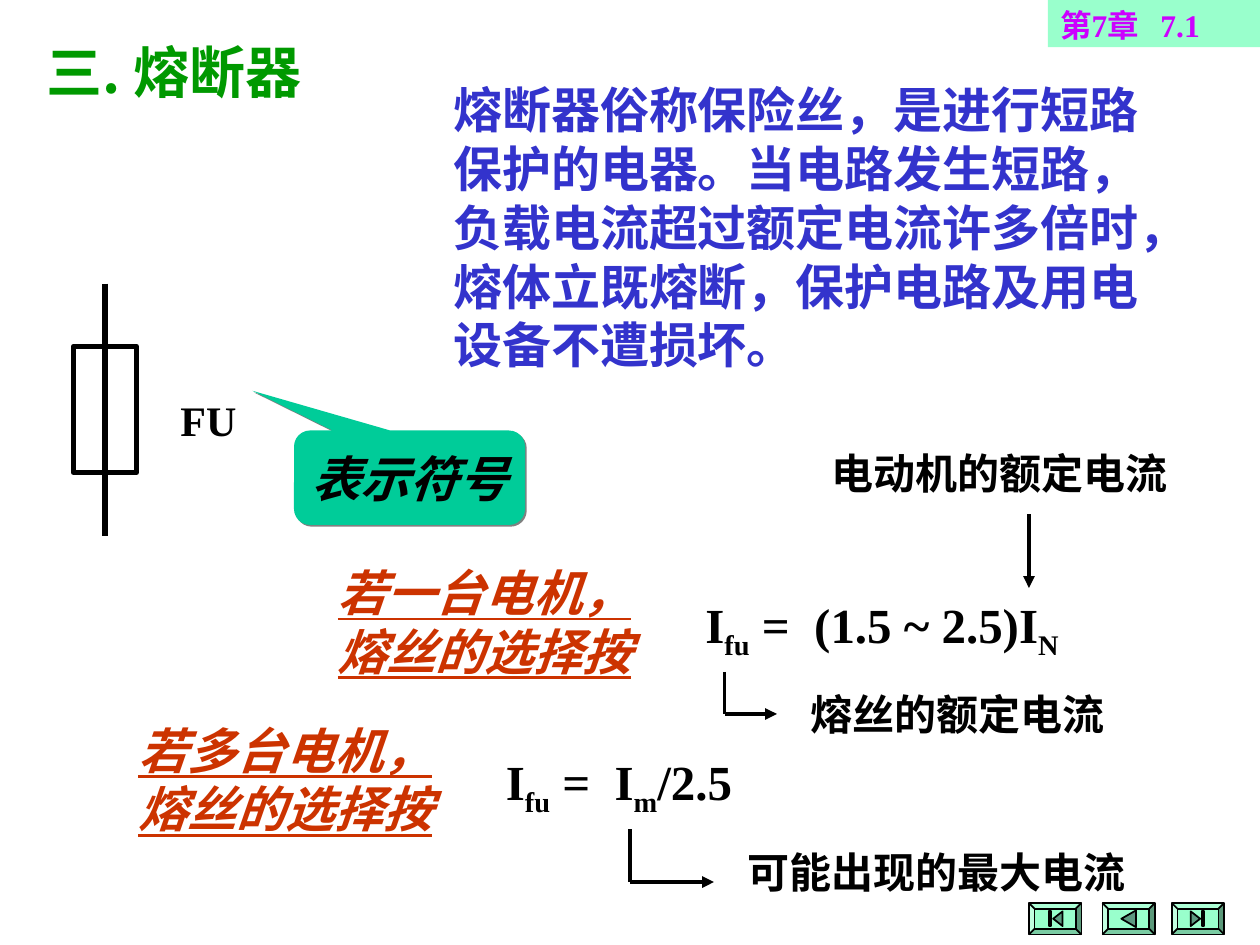
from dataclasses import dataclass

from lxml import etree
from pptx import Presentation
from pptx.dml.color import RGBColor
from pptx.enum.shapes import MSO_CONNECTOR, MSO_SHAPE
from pptx.enum.text import MSO_ANCHOR, MSO_AUTO_SIZE, PP_ALIGN
from pptx.oxml.ns import qn
from pptx.util import Inches, Pt

STRAIGHT = MSO_CONNECTOR.STRAIGHT
RECTANGLE = MSO_SHAPE.RECTANGLE
CALLOUT = MSO_SHAPE.ROUNDED_RECTANGULAR_CALLOUT
BEVEL = MSO_SHAPE.BEVEL
TOP, MIDDLE = MSO_ANCHOR.TOP, MSO_ANCHOR.MIDDLE
LEFT, CENTER = PP_ALIGN.LEFT, PP_ALIGN.CENTER
NO_AUTOFIT = MSO_AUTO_SIZE.NONE

CELLS_PER_INCH = 12
COLUMNS, ROWS = 120, 90
LINE_RATIO = 1.2
SUBSCRIPT = "-25000"


@dataclass(frozen=True)
class Theme:
    """Fonts, colours and type sizes of the slide."""

    latin: str = "Times New Roman"
    chinese: str = "Noto Sans CJK SC"
    black: str = "000000"
    white: str = "FFFFFF"
    green: str = "009900"
    blue: str = "3333CC"
    red: str = "CC3300"
    purple: str = "CC00FF"
    teal: str = "00CC99"
    mint: str = "99FFCC"
    icon: str = "5C9980"
    shadow: str = "808080"
    title: int = 32
    body: int = 28
    label: int = 24
    chapter: int = 18
    thick: float = 3
    medium: float = 2.25
    thin: float = 1


THEME = Theme()
BODY = {"size": THEME.body, "color": THEME.blue}
LABEL = {"size": THEME.label}
FORMULA = {"size": THEME.body}
CONDITION = {"size": THEME.body, "color": THEME.red, "italic": True, "underline": True}
CALLOUT_TEXT = {"size": THEME.body, "italic": True}
CHAPTER = {"size": THEME.chapter, "color": THEME.purple}
TITLE = {"size": THEME.title, "color": THEME.green}


def cells(*counts):
    """Turn grid counts into lengths."""
    return [Inches(count / CELLS_PER_INCH) for count in counts]


def add_span(para, text, size, color=THEME.black, face=THEME.latin, subscript=False, **style):
    """Add one formatted run to a paragraph."""
    span = para.add_run()
    span.text = text
    span.font.color.rgb = RGBColor.from_string(color)
    values = {"name": face, "size": Pt(size), "bold": True, **style}
    for name, value in values.items():
        setattr(span.font, name, value)
    properties = span.font._element
    etree.SubElement(properties, qn("a:ea")).set("typeface", THEME.chinese)
    if subscript:
        properties.set("baseline", SUBSCRIPT)


def write(box, spans, style, align=LEFT, anchor=TOP, wrap=True, fixed=True):
    """Fill a box with one paragraph of (text, changes) spans."""
    frame = box.text_frame
    frame_format = {
        "word_wrap": wrap,
        "vertical_anchor": anchor,
        "auto_size": NO_AUTOFIT,
        "margin_left": Inches(0.1),
        "margin_right": Inches(0.1),
        "margin_top": Inches(0.05),
        "margin_bottom": Inches(0.05),
    }
    for name, value in frame_format.items():
        setattr(frame, name, value)
    para = frame.paragraphs[0]
    para.alignment = align
    para.space_before = Pt(0)
    if fixed:
        para.line_spacing = Pt(style["size"] * LINE_RATIO)
    for text, changes in spans:
        add_span(para, text, **{**style, **changes})


def add_text(shapes, area, text, style, **layout):
    """Add a text box holding one plain run."""
    write(shapes.add_textbox(*cells(*area)), [(text, {})], style, **layout)


def add_formula(shapes, area, parts):
    """Add a formula whose every second part is a subscript."""
    spans = [(part, {"subscript": index % 2 == 1}) for index, part in enumerate(parts)]
    write(shapes.add_textbox(*cells(*area)), spans, FORMULA, fixed=False)


def paint(shape, fill, line=None, width=THEME.thin):
    """Set the fill and outline of a shape and drop its shadow."""
    shape.shadow.inherit = False
    shape.fill.solid()
    shape.fill.fore_color.rgb = RGBColor.from_string(fill)
    if line:
        shape.line.color.rgb = RGBColor.from_string(line)
        shape.line.width = Pt(width)
    else:
        shape.line.fill.background()


def add_shape(shapes, kind, area, fill, line=None, width=THEME.thin):
    """Add a painted preset shape."""
    shape = shapes.add_shape(kind, *cells(*area))
    paint(shape, fill, line, width)
    return shape


def add_route(shapes, points, width=THEME.medium, arrow=True):
    """Join grid points by straight lines, with an arrow at the last one."""
    for start, end in zip(points, points[1:]):
        line = shapes.add_connector(STRAIGHT, *cells(*start, *end))
        line.line.color.rgb = RGBColor.from_string(THEME.black)
        line.line.width = Pt(width)
        if arrow and end == points[-1]:
            etree.SubElement(line.line._get_or_add_ln(), qn("a:tailEnd")).set("type", "triangle")
        etree.SubElement(line._element.spPr, qn("a:effectLst"))


def add_fuse(page):
    """Draw the fuse symbol with its letters as a group."""
    shapes = page.shapes.add_group_shape().shapes
    add_shape(shapes, RECTANGLE, (7, 33, 6, 12), THEME.white, THEME.black, THEME.thick)
    add_route(shapes, [(10, 27), (10, 51)], THEME.thick, arrow=False)
    add_text(shapes, (16, 37, 7.7, 6), "FU", LABEL,
             align=CENTER, anchor=MIDDLE, wrap=False, fixed=False)


def add_callout(shapes):
    """Add the speech bubble that points at the fuse letters."""
    bubble = add_shape(shapes, CALLOUT, (28, 41, 22, 9), THEME.teal)
    for index, value in enumerate((-0.68, -0.92, 0.17)):
        bubble.adjustments[index] = value
    effects = bubble._element.spPr.find(qn("a:effectLst"))
    shadow = etree.SubElement(effects, qn("a:outerShdw"), dist=str(Pt(1.4)), dir="2700000")
    etree.SubElement(shadow, qn("a:srgbClr")).set("val", THEME.shadow)
    write(bubble, [("表示符号", {})], CALLOUT_TEXT, align=CENTER, anchor=MIDDLE, wrap=False)


def add_button(shapes, left, outlines, mirror=False):
    """Add a bevelled navigation button with an icon of closed outlines."""
    top, width, height = 86, 5, 3
    button = add_shape(shapes, BEVEL, (left, top, width, height), THEME.mint, THEME.black)
    button.adjustments[0] = 0.18
    for outline in outlines:
        points = [cells(left + (width - x if mirror else x), top + y) for x, y in outline]
        builder = shapes.build_freeform(*points[0])
        builder.add_line_segments(points[1:], close=True)
        paint(builder.convert_to_shape(), THEME.icon, THEME.black)


def add_navigation(shapes):
    """Add the first, previous and last buttons."""
    arrow = [(1.8, 1.5), (3.2, 0.7), (3.2, 2.3)]
    end = [[(2.3, 1.5), (3.2, 0.8), (3.2, 2.2)],
           [(1.9, 0.8), (2.1, 0.8), (2.1, 2.2), (1.9, 2.2)]]
    add_button(shapes, 98, end)
    add_button(shapes, 105, [arrow])
    add_button(shapes, 111.6, end, mirror=True)


def add_title(page):
    """Move and fill the title placeholder."""
    title = page.shapes.title
    title.left, title.top, title.width, title.height = cells(3.25, 3, 36, 7.7)
    write(title, [("三", {}), (". 熔断器", {"face": THEME.chinese})], TITLE)


def main():
    """Build the slide about fuses."""
    deck = Presentation()
    deck.slide_width, deck.slide_height = cells(COLUMNS, ROWS)
    page = deck.slides.add_slide(deck.slide_layouts[5])
    shapes = page.shapes
    add_title(page)
    add_text(shapes, (42, 7, 71, 29.25),
             "熔断器俗称保险丝，是进行短路保护的电器。当电路发生短路，负载电流超过额定电流许多倍时，"
             "熔体立既熔断，保护电路及用电设备不遭损坏。", BODY)
    add_text(shapes, (31, 53, 33, 12.5), "若一台电机，熔丝的选择按", CONDITION)
    add_formula(shapes, (66, 56, 40, 7.5), ["I", "fu", " =  (1.5 ~ 2.5)I", "N"])
    add_text(shapes, (12, 68, 33, 12.5), "若多台电机，熔丝的选择按", CONDITION)
    add_formula(shapes, (47, 71, 25, 7.5), ["I", "fu", " =  I", "m", "/2.5"])
    add_route(shapes, [(60, 79), (60, 84), (68, 84)])
    add_text(shapes, (70, 80, 42, 6), "可能出现的最大电流", LABEL)
    add_fuse(page)
    add_callout(shapes)
    add_route(shapes, [(69, 64), (69, 68), (74, 68)])
    add_text(shapes, (76, 65, 34, 6), "熔丝的额定电流", LABEL)
    add_text(shapes, (78, 42, 37, 6), "电动机的额定电流", LABEL)
    add_route(shapes, [(98, 49), (98, 56)])
    add_navigation(shapes)
    banner = add_shape(shapes, RECTANGLE, (99.8, 0, 20.2, 4.5), THEME.mint)
    write(banner, [("第7章   7.1", {})], CHAPTER)
    deck.save("out.pptx")


if __name__ == "__main__":
    main()
